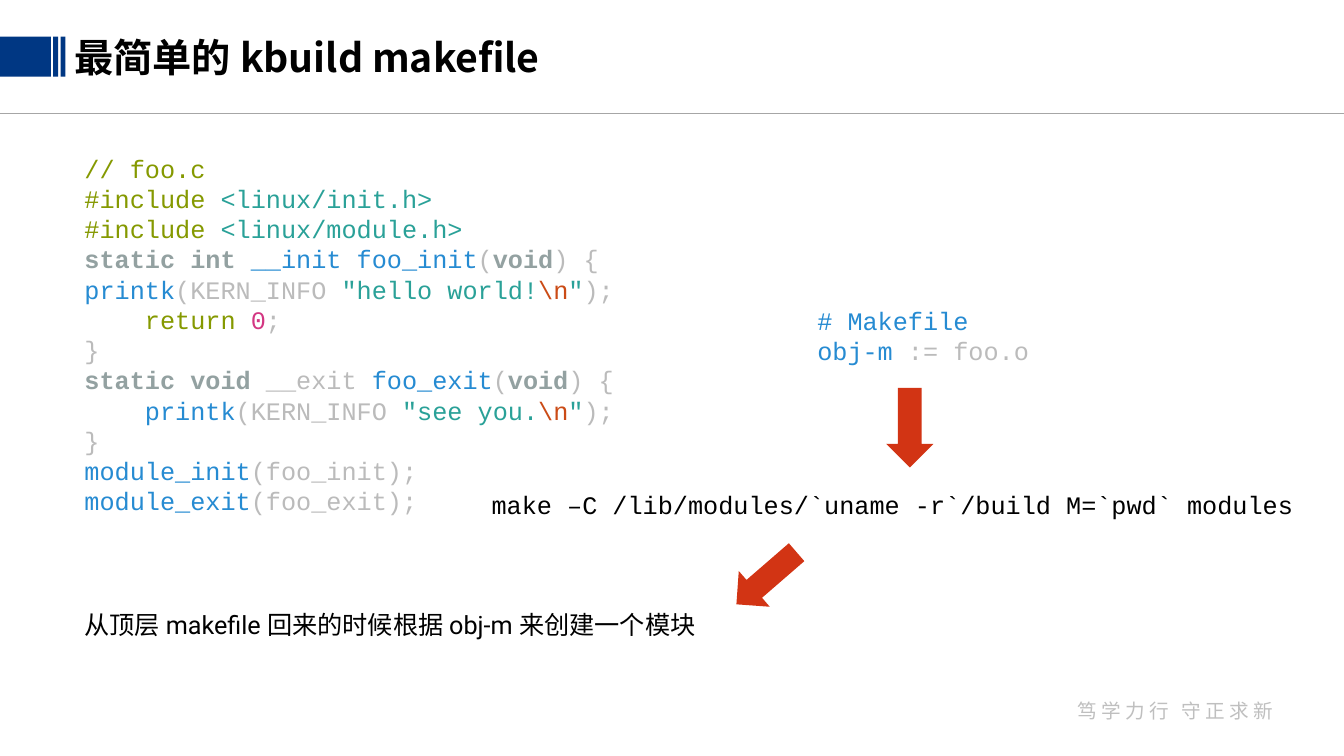
"""Builds the slide on the simplest kbuild makefile."""
from dataclasses import dataclass, field

import pptx
import pptx.dml.color
import pptx.enum.shapes
import pptx.enum.text
import pptx.oxml.ns
import pptx.oxml.xmlchemy
import pptx.slide
import pptx.util

Pt = pptx.util.Pt
Shape = pptx.enum.shapes.MSO_SHAPE
Align = pptx.enum.text.PP_ALIGN
Node = pptx.oxml.xmlchemy.OxmlElement


@dataclass
class Theme:
    """Colours, fonts and type sizes of the deck."""
    navy: str = "003783"
    red: str = "D23414"
    rule: str = "A6A6A6"
    black: str = "000000"
    motto: str = "BFBFBF"
    mono: str = "Courier New"
    sans: str = "Roboto"
    han: str = "Noto Sans CJK SC"
    head: int = 28
    body: int = 18
    small: int = 14
    code: dict = field(default_factory=lambda: {
        "word": "859900", "text": "2AA198", "type": "93A1A1", "name": "268BD2",
        "plain": "BBBBBB", "esc": "CB4B16", "num": "D33682"})


@dataclass
class Page:
    """Holds the current slide and the theme."""
    slide: pptx.slide.Slide
    theme: Theme

    def color(self, value):
        """Turn a hex string into a colour."""
        return pptx.dml.color.RGBColor.from_string(value)

    def shape(self, kind, left, top, width, height, fill, turn=0):
        """Add a plain filled shape."""
        item = self.slide.shapes.add_shape(kind, Pt(left), Pt(top), Pt(width), Pt(height))
        item.shadow.inherit = False
        item.fill.solid()
        item.fill.fore_color.rgb = self.color(fill)
        item.line.fill.background()
        item.rotation = turn

    def line(self, left, top, right, low, color):
        """Add a thin straight line."""
        item = self.slide.shapes.add_connector(
            pptx.enum.shapes.MSO_CONNECTOR.STRAIGHT, Pt(left), Pt(top), Pt(right), Pt(low))
        item.line.color.rgb = self.color(color)
        item.line.width = Pt(0.75)
        item._element.spPr.append(Node("a:effectLst"))

    def box(self, left, top, width, height, side=(7.2, 7.2), wrap=True):
        """Add an empty text box and return its frame."""
        frame = self.slide.shapes.add_textbox(
            Pt(left), Pt(top), Pt(width), Pt(height)).text_frame
        frame.word_wrap = wrap
        frame.margin_left, frame.margin_right = map(Pt, side)
        frame.margin_top = frame.margin_bottom = Pt(3.6)
        return frame

    def run(self, para, text, font, size, color, bold=False, gap=0):
        """Add one styled run to a paragraph."""
        run = para.add_run()
        run.text = text
        run.font.name = font
        run.font.size = Pt(size)
        run.font.bold = bold
        run.font.color.rgb = self.color(color)
        props = run._r.get_or_add_rPr()
        east = Node("a:ea")
        east.set("typeface", self.theme.han)
        props.find(pptx.oxml.ns.qn("a:latin")).addnext(east)
        if gap:
            props.set("spc", str(gap * 100))

    def code(self, frame, lines):
        """Fill a frame with coloured code, one paragraph a line."""
        for row, line in enumerate(lines):
            para = frame.add_paragraph() if row else frame.paragraphs[0]
            for kind, text in line:
                self.run(para, text, self.theme.mono, self.theme.body,
                         self.theme.code[kind], kind == "type")


def call(name, text):
    """Return the tokens of a printk line."""
    return [("name", name), ("plain", "(KERN_INFO "), ("text", '"' + text),
            ("esc", "\\n"), ("text", '"'), ("plain", ");")]


ARGS = [("plain", "("), ("type", "void"), ("plain", ") {")]
SOURCE = [
    [("word", "// foo.c")],
    [("word", "#include "), ("text", "<linux/init.h>")],
    [("word", "#include "), ("text", "<linux/module.h>")],
    [("type", "static int "), ("name", "__init foo_init"), *ARGS],
    call("printk", "hello world!"),
    [("word", "    return "), ("num", "0"), ("plain", ";")],
    [("plain", "}")],
    [("type", "static void"), ("plain", " __exit "), ("name", "foo_exit"), *ARGS],
    call("    printk", "see you."),
    [("plain", "}")],
    [("name", "module_init"), ("plain", "(foo_init);")],
    [("name", "module_exit"), ("plain", "(foo_exit);")],
]
MAKE = [
    [("name", "# Makefile")],
    [("name", "obj-m"), ("plain", " := foo.o")],
]


def main():
    """Build and save the slide."""
    deck = pptx.Presentation()
    deck.slide_width, deck.slide_height = Pt(960), Pt(540)
    theme = Theme()
    page = Page(deck.slides.add_slide(deck.slide_layouts[6]), theme)

    page.line(0, 80.8, 960, 80.8, theme.rule)
    for left, width in ((0, 36.3), (38, 3.5), (43.3, 3.5)):
        page.shape(Shape.RECTANGLE, left, 26.2, width, 28.6, theme.navy)

    title = page.box(53.3, 20.2, 348.5, 41, (0, 7.2), False)
    page.run(title.paragraphs[0], "最简单的 kbuild makefile", theme.han, theme.head,
             theme.black, True)
    motto = page.box(761.8, 495.4, 147.6, 24.5, (0, 0)).paragraphs[0]
    motto.alignment = Align.RIGHT
    page.run(motto, "笃学力行 守正求新", theme.han, theme.small, theme.motto, gap=3)

    page.code(page.box(53.3, 105.8, 415.4, 269.3), SOURCE)
    page.code(page.box(576.7, 214.6, 168.5, 51), MAKE)
    note = page.box(53.3, 432, 452.9, 29)
    page.run(note.paragraphs[0], "从顶层 makefile 回来的时候根据 obj-m 来创建一个模块",
             theme.sans, theme.body, theme.black)
    shell = page.box(344, 345.6, 597, 29)
    page.run(shell.paragraphs[0], "make –C /lib/modules/`uname -r`/build M=`pwd` modules",
             theme.mono, theme.body, theme.black)

    for left, top, turn in ((633, 277, 0), (530.6, 384.6, 49.1)):
        page.shape(Shape.DOWN_ARROW, left, top, 33.8, 56.9, theme.red, turn)
    deck.save("out.pptx")


if __name__ == "__main__":
    main()
